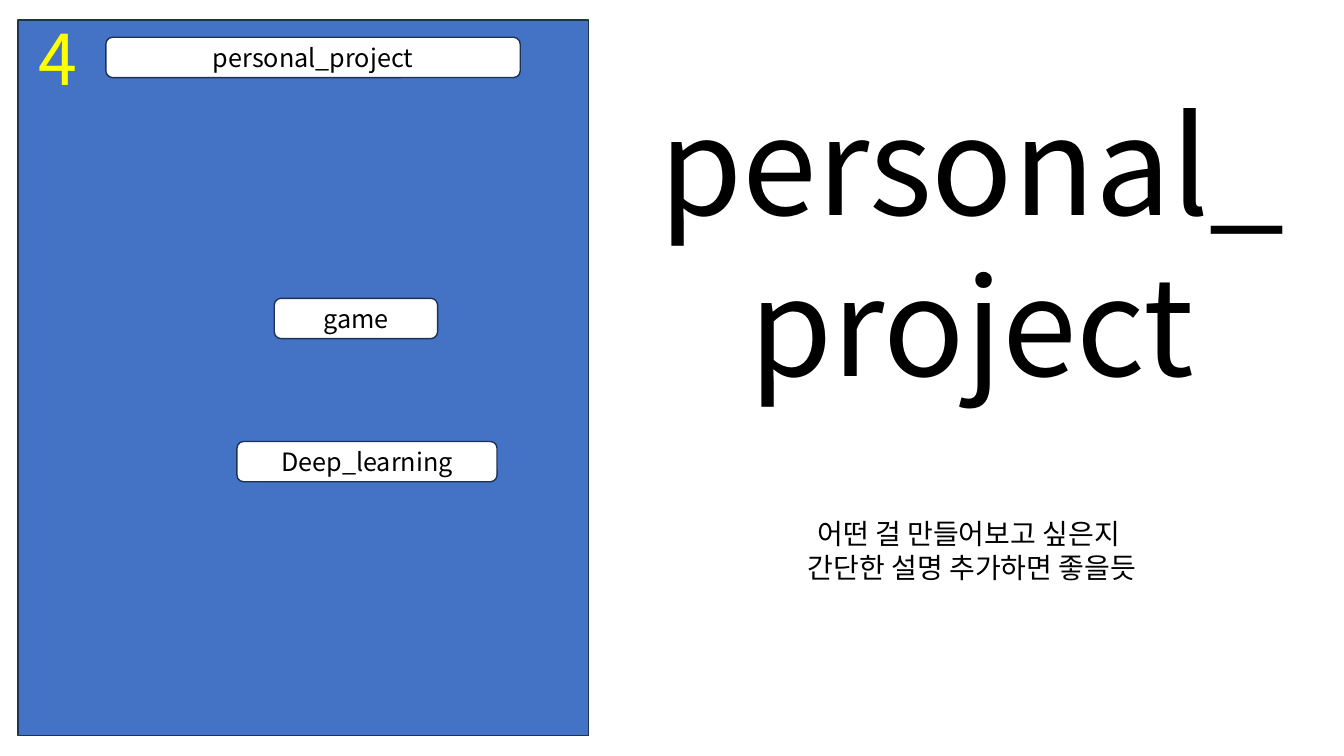
from lxml.etree import SubElement
from pptx import Presentation
from pptx.dml.color import RGBColor
from pptx.enum.shapes import MSO_SHAPE
from pptx.enum.text import MSO_ANCHOR, MSO_AUTO_SIZE, PP_ALIGN
from pptx.oxml.ns import qn
from pptx.util import Inches, Pt

FONT = "Noto Sans CJK KR"
BLUE = RGBColor(0x44, 0x72, 0xC4)
NAVY = RGBColor(0x1E, 0x32, 0x56)
WHITE = RGBColor(0xFF, 0xFF, 0xFF)
BLACK = RGBColor(0, 0, 0)
YELLOW = RGBColor(0xFF, 0xFF, 0)

PANEL = (0.18, 0.2, 5.66, 7.1)
LABEL_HEIGHT = 0.4
LABELS = [
    ("personal_project", 1.05, 0.37, 4.11),
    ("game", 2.72, 2.96, 1.62),
    ("Deep_learning", 2.35, 4.38, 2.58),
]
NUMBER = ("4", (0.28, 0.1, 0.68, 0.94))
TITLE = ("personal_\nproject", (6.14, 0.75, 7, 3.64))
DESCRIPTION = ("어떤 걸 만들어보고 싶은지 \n간단한 설명 추가하면 좋을듯", (6.14, 5.08, 7, 0.77))


def write_text(shape, text, size, color, alignment, anchor):
    """Fill a shape with text in the slide font."""
    frame = shape.text_frame
    frame.text = text
    frame.word_wrap = True
    frame.auto_size = MSO_AUTO_SIZE.NONE
    frame.vertical_anchor = anchor
    for paragraph in frame.paragraphs:
        paragraph.alignment = alignment
        paragraph.line_spacing = 1.0
        for run in paragraph.runs:
            run.font.size = Pt(size)
            run.font.name = FONT
            run.font.color.rgb = color
            SubElement(run.font._element, qn("a:ea"), typeface=FONT)


def add_box(slide, kind, box, fill):
    """Add an outlined shape without a shadow."""
    shape = slide.shapes.add_shape(kind, *map(Inches, box))
    shape.shadow.inherit = False
    shape.fill.solid()
    shape.fill.fore_color.rgb = fill
    shape.line.color.rgb = NAVY
    shape.line.width = Pt(1)
    return shape


def main():
    """Build the slide and save it."""
    presentation = Presentation()
    presentation.slide_width = Inches(13.33)
    presentation.slide_height = Inches(7.5)
    slide = presentation.slides.add_slide(presentation.slide_layouts[5])

    add_box(slide, MSO_SHAPE.RECTANGLE, PANEL, BLUE)
    for text, left, top, width in LABELS:
        label = add_box(slide, MSO_SHAPE.ROUNDED_RECTANGLE, (left, top, width, LABEL_HEIGHT), WHITE)
        write_text(label, text, 18, BLACK, PP_ALIGN.CENTER, MSO_ANCHOR.MIDDLE)

    text, box = NUMBER
    number = slide.shapes.add_textbox(*map(Inches, box))
    write_text(number, text, 50, YELLOW, PP_ALIGN.LEFT, MSO_ANCHOR.TOP)

    text, box = TITLE
    title = slide.shapes.title
    title.left, title.top, title.width, title.height = map(Inches, box)
    write_text(title, text, 96, BLACK, PP_ALIGN.CENTER, MSO_ANCHOR.TOP)

    text, box = DESCRIPTION
    description = slide.shapes.add_textbox(*map(Inches, box))
    write_text(description, text, 20, BLACK, PP_ALIGN.CENTER, MSO_ANCHOR.TOP)

    presentation.save("out.pptx")


if __name__ == "__main__":
    main()
